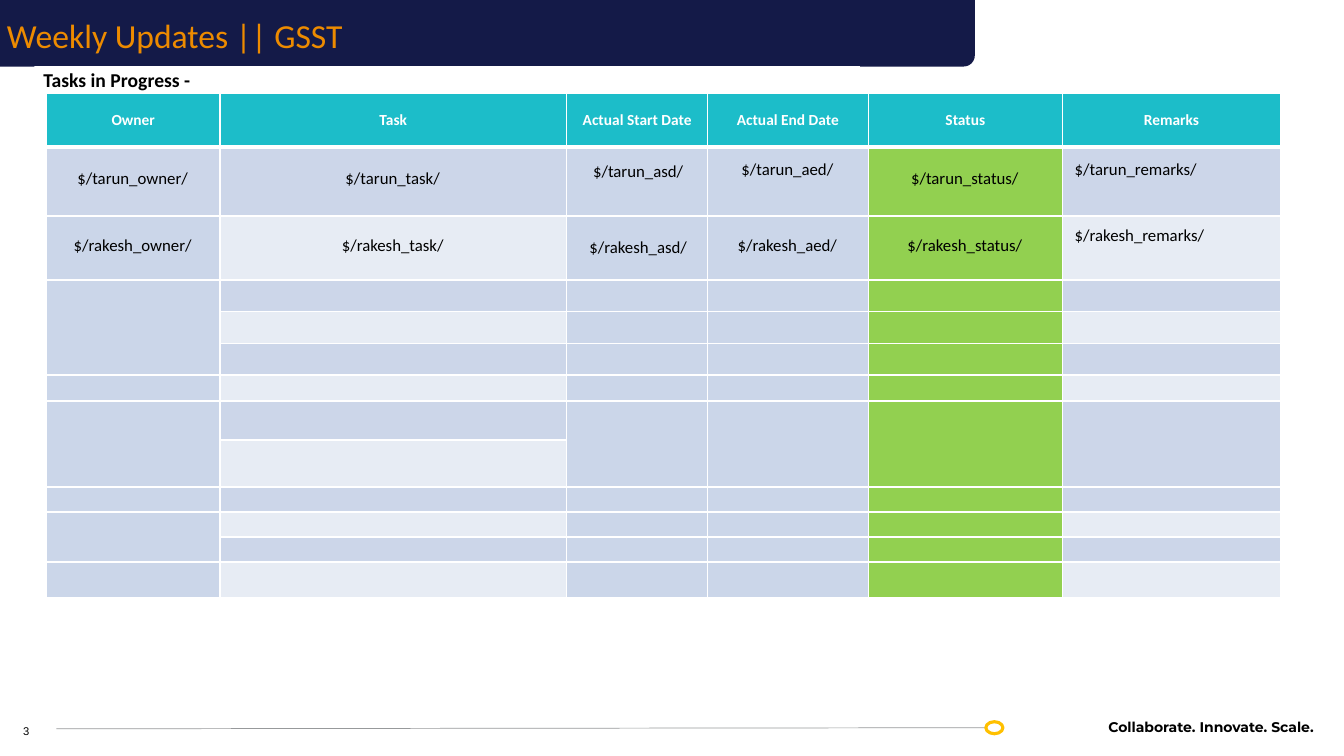
from dataclasses import dataclass

from lxml.etree import SubElement
from pptx import Presentation
from pptx.dml.color import RGBColor
from pptx.enum.shapes import MSO_CONNECTOR, MSO_SHAPE
from pptx.enum.text import MSO_ANCHOR, MSO_AUTO_SIZE, PP_ALIGN
from pptx.oxml.ns import qn
from pptx.util import Pt

WHITE, BLACK, NAVY, ORANGE = "FFFFFF", "000000", "141A48", "ED8B00"
TEAL, GREEN, DATE_BLUE = "1CBDC9", "92D050", "CBD6E9"
BANDS = ("E7ECF4", "CCD6E9")

COLUMN_WIDTHS = (123.8, 247.7, 100.8, 114.5, 139, 155.5)
ROW_HEIGHTS = (38, 49.3, 45.7, 22.8, 22.8, 22.3, 18.6, 27.9, 33.5, 17.9, 17.9, 17.9, 25.7)
HEADERS = ("Owner", "Task", "Actual Start Date", "Actual End Date", "Status", "Remarks")
FIELDS = ("owner", "task", "asd", "aed", "status", "remarks")
PEOPLE = ("tarun", "rakesh")
STATUS, REMARKS = FIELDS.index("status"), FIELDS.index("remarks")
# (first row, last row, columns merged down those rows)
MERGES = ((3, 5, (0,)), (7, 8, (0, 2, 3, 4, 5)), (10, 11, (0,)))
# Bottom margins that lift a value above the middle of its cell
BOTTOM_MARGINS = {(1, 2): 13.6, (1, 3): 16.4, (1, 5): 16.4, (2, 2): 0, (2, 5): 17}


@dataclass(frozen=True)
class Style:
    size: float
    colour: str = BLACK
    bold: bool = False
    font: str = "Calibri"
    align: PP_ALIGN = PP_ALIGN.LEFT
    anchor: MSO_ANCHOR = MSO_ANCHOR.TOP
    margins: tuple = (7.2, 3.6, 7.2, 3.6)


@dataclass(frozen=True)
class Label:
    text: str
    box: tuple
    style: Style
    fill: str = ""


LABELS = (
    Label("3", (15.1, 518.4, 32.4, 9.4),
          Style(8, font="Arial", anchor=MSO_ANCHOR.BOTTOM, margins=(1.4, 0.7, 1.4, 0.7))),
    Label("Collaborate. Innovate. Scale.", (656, 509.8, 289.4, 19.4),
          Style(10, bold=True, font="Montserrat", align=PP_ALIGN.RIGHT)),
    Label("Tasks in Progress -", (24.5, 47.2, 589.7, 20),
          Style(14, bold=True, anchor=MSO_ANCHOR.MIDDLE, margins=(6.5, 1.4, 6.5, 1.4)), WHITE),
)
TITLE = Label("Weekly Updates || GSST", (-2.2, 10.1, 707, 59.8), Style(24, ORANGE))
HEADER_STYLE = Style(11, WHITE, True, align=PP_ALIGN.CENTER)
VALUE_STYLE = Style(12, align=PP_ALIGN.CENTER)
REMARK_STYLE = Style(12)


def rgb(colour: str) -> RGBColor:
    return RGBColor.from_string(colour)


def add_run(p, text: str, style: Style) -> None:
    p.alignment = style.align
    r = p.add_run()
    r.text = text
    r.font.name, r.font.size, r.font.bold = style.font, Pt(style.size), style.bold
    r.font.color.rgb = rgb(style.colour)


def write_label(sp, label: Label) -> None:
    tf = sp.text_frame
    tf.word_wrap = True
    tf.auto_size = MSO_AUTO_SIZE.NONE
    tf.vertical_anchor = label.style.anchor
    tf.margin_left, tf.margin_top, tf.margin_right, tf.margin_bottom = map(Pt, label.style.margins)
    add_run(tf.paragraphs[0], label.text, label.style)


def add_label(s, label: Label) -> None:
    sp = s.shapes.add_textbox(*map(Pt, label.box))
    if label.fill:
        sp.fill.solid()
        sp.fill.fore_color.rgb = rgb(label.fill)
    write_label(sp, label)


def add_title_bar(s) -> None:
    bar = s.shapes.add_shape(MSO_SHAPE.ROUND_1_RECTANGLE, Pt(-1.4), Pt(0), Pt(697.7), Pt(47.5))
    bar.shadow.inherit = False
    bar.fill.solid()
    bar.fill.fore_color.rgb = rgb(NAVY)
    bar.line.fill.background()
    bar.rotation = 180
    bar.element.spPr.find(qn("a:xfrm")).set("flipH", "1")

    title = s.shapes.title
    title.left, title.top, title.width, title.height = map(Pt, TITLE.box)
    write_label(title, TITLE)
    title.text_frame.paragraphs[0].line_spacing = 0.9
    bar.element.addnext(title.element)


def add_footer_rule(s) -> None:
    rule = s.shapes.add_connector(MSO_CONNECTOR.STRAIGHT, Pt(40.3), Pt(520.6), Pt(704.2), Pt(519.8))
    rule.line.color.rgb = rgb("97999B")
    rule.line.width = Pt(0.5)
    SubElement(rule.element.spPr, qn("a:effectLst"))

    ring = s.shapes.add_shape(MSO_SHAPE.OVAL, Pt(704.2), Pt(515.5), Pt(12.2), Pt(8.6))
    ring.shadow.inherit = False
    ring.fill.background()
    ring.line.color.rgb = rgb("FFC000")
    ring.line.width = Pt(2.25)


def cell_fill(row: int, col: int) -> str:
    if row == 0:
        return TEAL
    if col == STATUS:
        return GREEN
    if FIELDS[col] in ("task", "remarks") or (row, col) == (1, 0):
        return BANDS[row % 2]
    return DATE_BLUE


def set_borders(cell, row: int) -> None:
    """White rules all round, heavier between the header and the body."""
    widths = {"L": 1, "R": 1, "T": 3 if row == 1 else 1, "B": 3 if row == 0 else 1}
    tc_pr = cell._tc.get_or_add_tcPr()
    for side, width in widths.items():
        ln = SubElement(tc_pr, qn(f"a:ln{side}"), w=str(Pt(width)))
        SubElement(SubElement(ln, qn("a:solidFill")), qn("a:srgbClr"), val=WHITE)


def format_cell(cell, row: int, col: int) -> None:
    set_borders(cell, row)
    cell.fill.solid()
    cell.fill.fore_color.rgb = rgb(cell_fill(row, col))
    cell.vertical_anchor = MSO_ANCHOR.MIDDLE
    cell.margin_top = cell.margin_bottom = Pt(0)
    p = cell.text_frame.paragraphs[0]
    if row == 0:
        cell.margin_left = cell.margin_right = Pt(5)
        add_run(p, HEADERS[col], HEADER_STYLE)
    elif row <= len(PEOPLE):
        cell.margin_left = Pt(8.6)
        cell.margin_right = Pt(7.2 if FIELDS[col] == "asd" else 9.4)
        cell.margin_bottom = Pt(BOTTOM_MARGINS.get((row, col), 3.6))
        style = REMARK_STYLE if col == REMARKS else VALUE_STYLE
        add_run(p, f"$/{PEOPLE[row - 1]}_{FIELDS[col]}/", style)
    else:
        SubElement(p._p, qn("a:endParaRPr"), sz="800")


def add_task_table(s) -> None:
    frame = s.shapes.add_table(len(ROW_HEIGHTS), len(COLUMN_WIDTHS), Pt(33.3), Pt(67),
                               Pt(sum(COLUMN_WIDTHS)), Pt(sum(ROW_HEIGHTS)))
    table = frame.table
    table.first_row = table.horz_banding = False
    for column, width in zip(table.columns, COLUMN_WIDTHS):
        column.width = Pt(width)
    for row, height in enumerate(ROW_HEIGHTS):
        table.rows[row].height = Pt(height)
        for col in range(len(COLUMN_WIDTHS)):
            format_cell(table.cell(row, col), row, col)
    for first, last, columns in MERGES:
        for col in columns:
            table.cell(first, col).merge(table.cell(last, col))


def main() -> None:
    prs = Presentation()
    prs.slide_width, prs.slide_height = Pt(960), Pt(540)
    s = prs.slides.add_slide(prs.slide_layouts[5])
    add_title_bar(s)
    add_footer_rule(s)
    for label in LABELS:
        add_label(s, label)
    add_task_table(s)
    prs.save("out.pptx")


if __name__ == "__main__":
    main()
